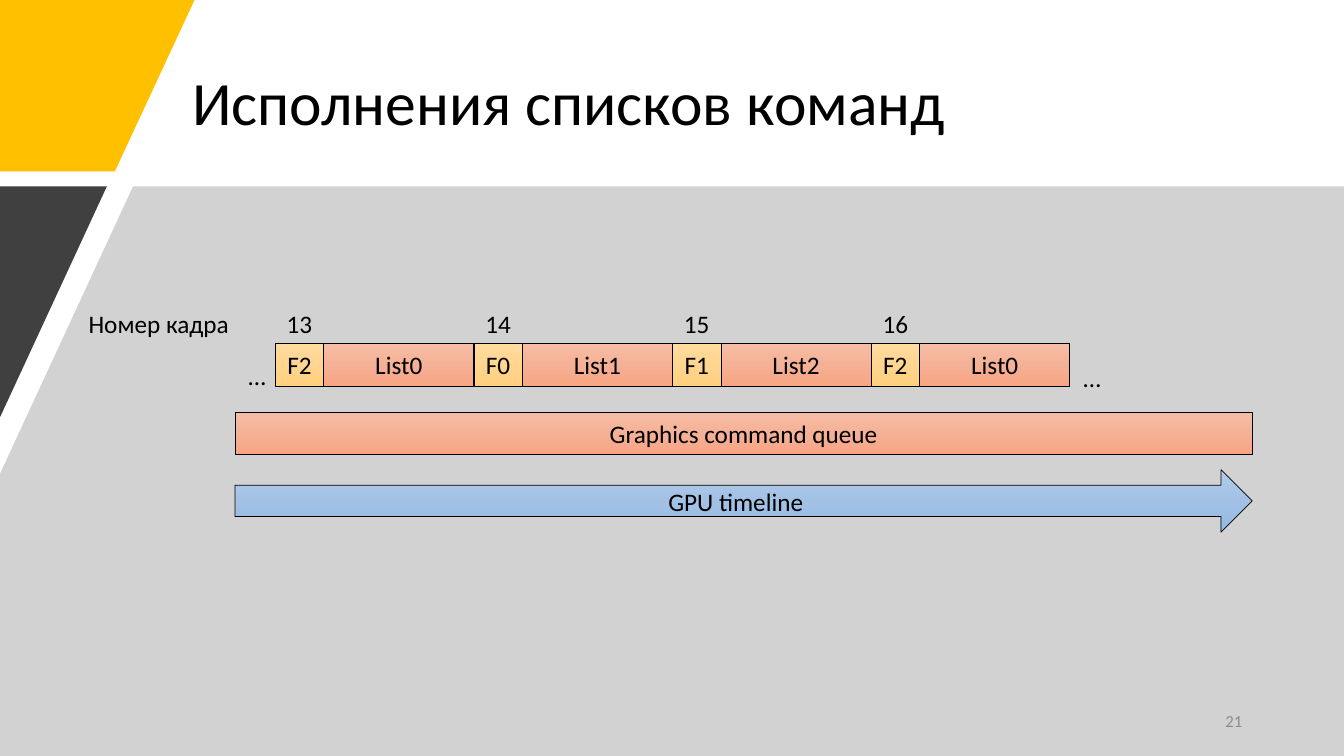
from copy import deepcopy

from lxml.etree import SubElement
from pptx import Presentation
from pptx.dml.color import RGBColor
from pptx.enum.shapes import MSO_SHAPE
from pptx.enum.text import MSO_ANCHOR, PP_ALIGN
from pptx.oxml.ns import qn
from pptx.util import Inches, Pt

COLORS = {"black": "000000", "gold": "FFC000", "gray": "A6A6A6",
          "dark": "404040", "number": "8C8C8C"}
BLENDS = {"blue": ("B1CBE9", "A3C1E5", "93B9E4"),
          "coral": ("F7BDA5", "F5B196", "F8A582"),
          "sand": ("FFDB9E", "FFD590", "FFD07C")}


class Deck:
    """Draws styled elements on the current slide."""

    def __init__(self, slide, font="Calibri", size=18):
        self.shapes = slide.shapes
        self.font = font
        self.size = size

    def color(self, name):
        return RGBColor.from_string(COLORS[name])

    def label(self, shape, words, align, anchor, size=None, color="black"):
        frame = shape.text_frame
        frame.vertical_anchor = anchor
        line = frame.paragraphs[0]
        line.alignment = align
        run = line.add_run()
        run.text = words
        run.font.name = self.font
        run.font.size = Pt(size or self.size)
        run.font.color.rgb = self.color(color)
        return line

    def text(self, words, box, align=PP_ALIGN.CENTER, anchor=MSO_ANCHOR.TOP,
             size=None, color="black", wrap=True):
        shape = self.shapes.add_textbox(*map(Inches, box))
        shape.text_frame.word_wrap = wrap
        return self.label(shape, words, align, anchor, size, color)

    def block(self, words, box, blend, kind=MSO_SHAPE.RECTANGLE):
        shape = self.shapes.add_shape(kind, *map(Inches, box))
        shape.shadow.inherit = False
        fill = shape.fill
        fill.gradient()
        fill.gradient_angle = 270
        stops = shape._element.spPr.find(qn("a:gradFill")).find(qn("a:gsLst"))
        middle = deepcopy(stops[0])
        middle.set("pos", "50000")
        stops.insert(1, middle)
        for stop, tone in zip(fill.gradient_stops, BLENDS[blend]):
            stop.color.rgb = RGBColor.from_string(tone)
        shape.line.color.rgb = self.color("black")
        shape.line.width = Pt(0.5)
        self.label(shape, words, PP_ALIGN.CENTER, MSO_ANCHOR.MIDDLE)

    def panel(self, points, color, alpha=None):
        start, *rest = [(Inches(x), Inches(y)) for x, y in points]
        pen = self.shapes.build_freeform(*start)
        pen.add_line_segments(rest, close=True)
        shape = pen.convert_to_shape()
        shape.shadow.inherit = False
        shape.fill.solid()
        shape.fill.fore_color.rgb = self.color(color)
        shape.line.fill.background()
        if alpha:
            tone = shape._element.spPr.find(qn("a:solidFill"))[0]
            SubElement(tone, qn("a:alpha")).set("val", str(alpha * 1000))


show = Presentation()
show.slide_width = Inches(13.33)
show.slide_height = Inches(7.5)
deck = Deck(show.slides.add_slide(show.slide_layouts[6]))

title = deck.text("Исполнения списков команд", (1.81, 0.4, 10.24, 1.3),
                  PP_ALIGN.LEFT, MSO_ANCHOR.MIDDLE, 44)
title.line_spacing = 0.9
deck.panel([(0, 0), (1.93, 0), (1.14, 1.7), (0, 1.7)], "gold")
deck.panel([(1.32, 1.85), (13.33, 1.85), (13.33, 7.5), (0, 7.5), (0, 4.7)],
           "gray", alpha=50)
deck.panel([(0, 1.85), (1.06, 1.85), (0, 4.14)], "dark")
deck.text("21", (9.42, 6.95, 3, 0.4), PP_ALIGN.RIGHT, MSO_ANCHOR.MIDDLE,
          12, "number")

deck.block("GPU timeline", (2.33, 4.66, 10.09, 0.62), "blue",
           MSO_SHAPE.RIGHT_ARROW)
deck.block("Graphics command queue", (2.33, 4.09, 10.09, 0.42), "coral")

LEFT, TOP, HIGH = 2.73, 3.41, 0.42
FENCE, LIST = 0.48, 1.49
frames = [("F2", "List0"), ("F0", "List1"), ("F1", "List2"), ("F2", "List0")]
for step, (fence, batch) in enumerate(frames):
    x = LEFT + step * (FENCE + LIST)
    deck.block(batch, (x + FENCE, TOP, LIST, HIGH), "coral")
    deck.block(fence, (x, TOP, FENCE, HIGH), "sand")
    deck.text(str(13 + step), (x, 3.01, FENCE, 0.4))

for x, y in [(2.36, 3.53), (10.64, 3.55)]:
    deck.text("…", (x, y, 0.38, 0.4))
deck.text("Номер кадра", (0.78, 3.01, 1.61, 0.4), PP_ALIGN.LEFT, wrap=False)

show.save("out.pptx")
